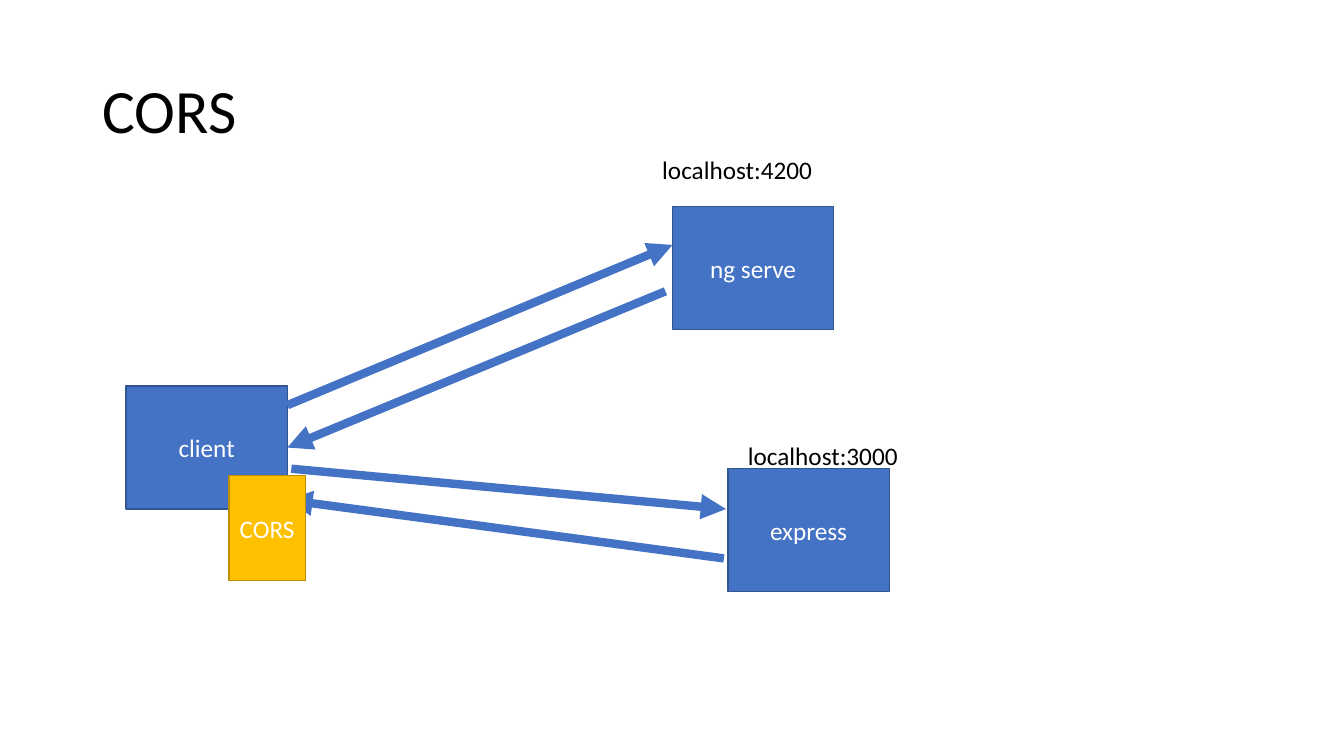
from dataclasses import dataclass

from lxml.etree import SubElement
from pptx import Presentation
from pptx.dml.color import RGBColor as RGB
from pptx.enum.shapes import MSO_CONNECTOR as Connector, MSO_SHAPE as Shape
from pptx.enum.text import MSO_ANCHOR as Anchor, MSO_AUTO_SIZE as AutoSize, PP_ALIGN as Align
from pptx.oxml.ns import qn
from pptx.util import Inches, Pt


@dataclass(frozen=True)
class Theme:
    font: str = "Calibri"
    title_size: int = 44
    body_size: int = 18
    outline: int = 1
    arrow: int = 6
    ink: str = "000000"
    paper: str = "FFFFFF"
    blue: str = "4472C4"
    blue_edge: str = "325491"
    amber: str = "FFC000"
    amber_edge: str = "BD8E00"


class Diagram:
    """Draws themed elements on one slide; all lengths are in inches."""

    def __init__(self, slide, theme):
        self.shapes = slide.shapes
        self.theme = theme

    def set_text(self, frame, text, size, color):
        frame.text = text
        font = frame.paragraphs[0].runs[0].font
        font.name = self.theme.font
        font.size = Pt(size)
        font.color.rgb = RGB.from_string(color)

    def title(self, text, left, top, width, height):
        frame = self.shapes.add_textbox(*map(Inches, (left, top, width, height))).text_frame
        frame.word_wrap = True
        frame.vertical_anchor = Anchor.MIDDLE
        self.set_text(frame, text, self.theme.title_size, self.theme.ink)
        frame.paragraphs[0].line_spacing = 0.9

    def label(self, text, left, top):
        frame = self.shapes.add_textbox(*map(Inches, (left, top, 1.7, 0.4))).text_frame
        frame.word_wrap = False
        frame.auto_size = AutoSize.SHAPE_TO_FIT_TEXT
        self.set_text(frame, text, self.theme.body_size, self.theme.ink)

    def box(self, text, left, top, width, height, fill, edge):
        box = self.shapes.add_shape(Shape.RECTANGLE, *map(Inches, (left, top, width, height)))
        box.shadow.inherit = False
        box.fill.solid()
        box.fill.fore_color.rgb = RGB.from_string(fill)
        box.line.color.rgb = RGB.from_string(edge)
        box.line.width = Pt(self.theme.outline)
        frame = box.text_frame
        frame.word_wrap = True
        frame.vertical_anchor = Anchor.MIDDLE
        self.set_text(frame, text, self.theme.body_size, self.theme.paper)
        frame.paragraphs[0].alignment = Align.CENTER

    def node(self, text, left, top):
        self.box(text, left, top, 1.6, 1.22, self.theme.blue, self.theme.blue_edge)

    def arrow(self, start, end):
        arrow = self.shapes.add_connector(Connector.STRAIGHT, *map(Inches, start + end))
        arrow.line.color.rgb = RGB.from_string(self.theme.blue)
        arrow.line.width = Pt(self.theme.arrow)
        properties = arrow.element.spPr
        SubElement(properties.find(qn("a:ln")), qn("a:tailEnd"), type="triangle")
        SubElement(properties, qn("a:effectLst"))


def main():
    deck = Presentation()
    deck.slide_width, deck.slide_height = Inches(13.33), Inches(7.5)
    theme = Theme()
    diagram = Diagram(deck.slides.add_slide(deck.slide_layouts[6]), theme)

    diagram.title("CORS", 0.92, 0.4, 11.5, 1.45)
    diagram.node("client", 1.25, 3.83)
    diagram.node("ng serve", 6.67, 2.05)
    diagram.label("localhost:4200", 6.47, 1.48)
    diagram.node("express", 7.22, 4.65)
    diagram.label("localhost:3000", 7.32, 4.32)

    requests_and_responses = [
        ((2.85, 4.02), (6.67, 2.43)),
        ((6.6, 2.89), (2.85, 4.44)),
        ((2.89, 4.65), (7.2, 5.05)),
        ((7.18, 5.54), (2.85, 4.96)),
    ]
    for start, end in requests_and_responses:
        diagram.arrow(start, end)

    diagram.box("CORS", 2.27, 4.72, 0.76, 1.04, theme.amber, theme.amber_edge)
    deck.save("out.pptx")


if __name__ == "__main__":
    main()
